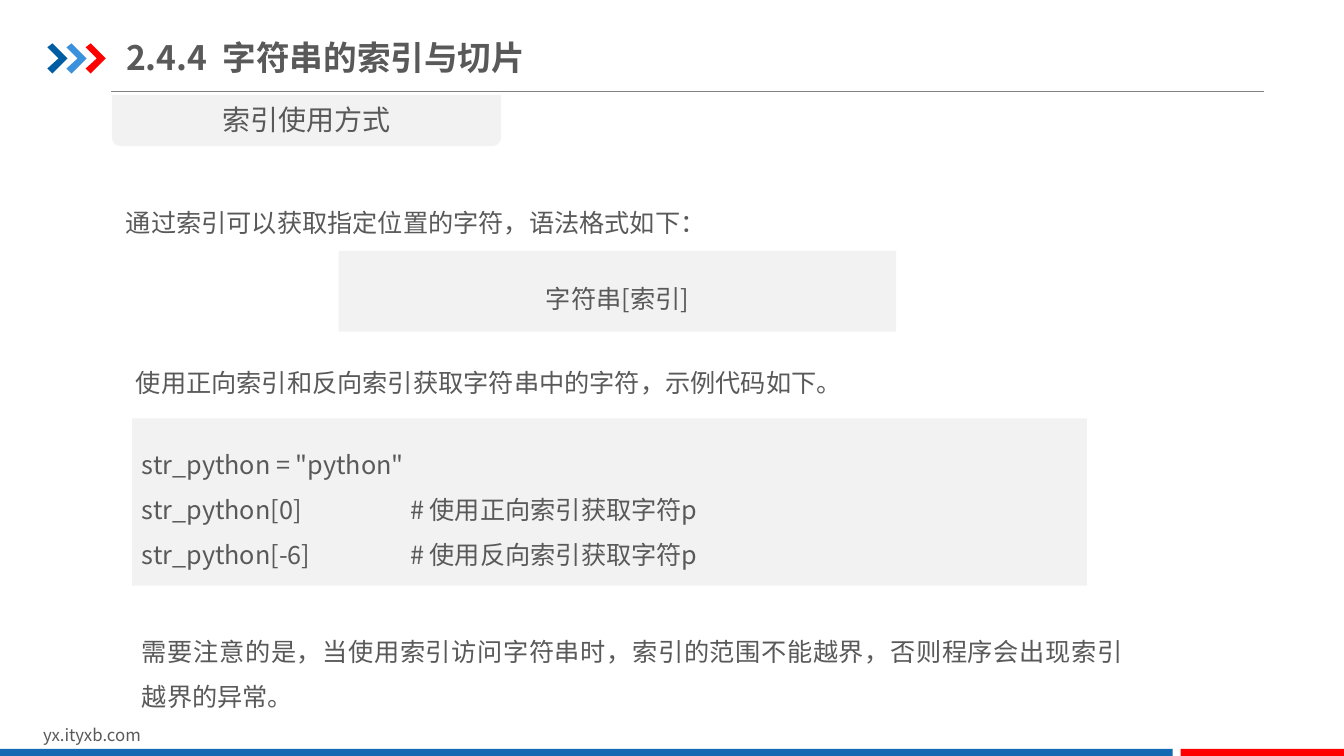
"""Build the slide on string indexing in Python."""
from dataclasses import dataclass

from lxml import etree
from pptx import Presentation
from pptx.dml.color import RGBColor
from pptx.enum.shapes import MSO_CONNECTOR, MSO_SHAPE
from pptx.enum.text import MSO_ANCHOR, MSO_AUTO_SIZE, PP_ALIGN
from pptx.oxml.ns import qn
from pptx.util import Emu, Pt

PX = 9144
FONT = "Noto Sans CJK SC"
GRAY, PANEL, BLUE, RED = "595959", "F2F2F2", "1369B2", "FF0000"
RECT, TAB_SHAPE = MSO_SHAPE.RECTANGLE, MSO_SHAPE.ROUND_2_SAME_RECTANGLE
LEFT, CENTER, JUSTIFY = PP_ALIGN.LEFT, PP_ALIGN.CENTER, PP_ALIGN.JUSTIFY
TOP, MIDDLE = MSO_ANCHOR.TOP, MSO_ANCHOR.MIDDLE
CHEVRON = [(0, 4), (5, 0), (20, 15), (5, 30), (0, 25), (11, 15)]
CHEVRON_COLORS = ["005DA2", "3992DB", RED]
CHEVRON_LEFT, CHEVRON_TOP, CHEVRON_STEP = 47, 43, 19
COMMENT_TAB = 266


@dataclass
class Box:
    """Place of an element, in px."""
    left: int
    top: int
    width: int
    height: int

    def emu(self) -> list[Emu]:
        return [px(v) for v in (self.left, self.top, self.width, self.height)]


@dataclass
class Panel:
    """Filled area, with the lines of text it holds."""
    box: Box
    fill: str
    lines: tuple[str, ...] = ()
    align: PP_ALIGN = LEFT
    kind: MSO_SHAPE = RECT
    rotation: int = 0


@dataclass
class Passage:
    """Free-standing text."""
    box: Box
    text: str
    size: int = 18
    align: PP_ALIGN = JUSTIFY
    spacing: float = 1.5


PANELS = [
    Panel(Box(0, 743, 1163, 9), BLUE),
    Panel(Box(1171, 743, 163, 9), RED),
    Panel(Box(111, 94, 386, 51), PANEL, kind=TAB_SHAPE, rotation=180),
    Panel(Box(336, 249, 553, 80), PANEL, ("字符串[索引]",), CENTER),
    Panel(Box(131, 415, 947, 166), PANEL, (
        'str_python = "python"',
        "str_python[0]\t# 使用正向索引获取字符p",
        "str_python[-6]\t# 使用反向索引获取字符p",
    )),
]
PASSAGES = [
    Passage(Box(33, 714, 318, 30), "yx.ityxb.com", 12, LEFT, 1.0),
    Passage(Box(111, 97, 386, 44), "索引使用方式", 20, CENTER, 1.0),
    Passage(Box(115, 186, 1116, 55), "通过索引可以获取指定位置的字符，语法格式如下："),
    Passage(Box(125, 344, 767, 55),
            "使用正向索引和反向索引获取字符串中的字符，示例代码如下。"),
    Passage(Box(131, 611, 993, 101),
            "需要注意的是，当使用索引访问字符串时，索引的范围不能越界，"
            "否则程序会出现索引越界的异常。"),
]


def px(value: int) -> Emu:
    return Emu(value * PX)


def color(value: str) -> RGBColor:
    return RGBColor.from_string(value)


def paint(shape, fill: str) -> None:
    shape.shadow.inherit = False
    shape.fill.solid()
    shape.fill.fore_color.rgb = color(fill)
    shape.line.fill.background()


def write(shape, *lines: str, size: int = 18, align: PP_ALIGN = LEFT,
          spacing: float = 1.5, bold: bool = False,
          anchor: MSO_ANCHOR = TOP) -> None:
    frame = shape.text_frame
    frame.word_wrap = True
    frame.auto_size = MSO_AUTO_SIZE.NONE
    frame.vertical_anchor = anchor
    for index, line in enumerate(lines):
        paragraph = frame.add_paragraph() if index else frame.paragraphs[0]
        paragraph.alignment = align
        paragraph.line_spacing = spacing
        if "\t" in line:
            stops = etree.SubElement(paragraph._p.get_or_add_pPr(), qn("a:tabLst"))
            etree.SubElement(stops, qn("a:tab"), pos=str(px(COMMENT_TAB)), algn="l")
        run = paragraph.add_run()
        run.text = line
        run.font.size = Pt(size)
        run.font.bold = bold
        run.font.name = FONT
        run.font.color.rgb = color(GRAY)
        etree.SubElement(run._r.get_or_add_rPr(), qn("a:ea"), typeface=FONT)


def draw_panel(slide, panel: Panel) -> None:
    shape = slide.shapes.add_shape(panel.kind, *panel.box.emu())
    shape.rotation = panel.rotation
    paint(shape, panel.fill)
    if panel.lines:
        write(shape, *panel.lines, align=panel.align, anchor=MIDDLE)


def draw_passage(slide, passage: Passage) -> None:
    write(slide.shapes.add_textbox(*passage.box.emu()), passage.text,
          size=passage.size, align=passage.align, spacing=passage.spacing)


def draw_chevron(slide, left: int, fill: str) -> None:
    points = [(left + x, CHEVRON_TOP + y) for x, y in CHEVRON]
    outline = slide.shapes.build_freeform(*points[0], scale=PX)
    outline.add_line_segments(points[1:], close=True)
    paint(outline.convert_to_shape(), fill)


def draw_rule(slide) -> None:
    rule = slide.shapes.add_connector(
        MSO_CONNECTOR.STRAIGHT, px(110), px(91), px(1254), px(91))
    rule.line.color.rgb = color("808080")
    rule.line.width = Pt(0.75)
    etree.SubElement(rule._element.spPr, qn("a:effectLst"))


def draw_title(slide) -> None:
    title = slide.shapes.title
    title.left, title.top, title.width, title.height = Box(125, 29, 534, 55).emu()
    frame = title.text_frame
    frame.margin_left = frame.margin_right = 0
    frame.margin_top = frame.margin_bottom = px(7)
    write(title, "2.4.4  字符串的索引与切片", size=24, spacing=1.0,
          bold=True, anchor=MIDDLE)


def main() -> None:
    deck = Presentation()
    deck.slide_width, deck.slide_height = px(1333), px(750)
    slide = deck.slides.add_slide(deck.slide_layouts.get_by_name("Title Only"))
    draw_title(slide)
    draw_rule(slide)
    for index, fill in enumerate(CHEVRON_COLORS):
        draw_chevron(slide, CHEVRON_LEFT + index * CHEVRON_STEP, fill)
    for panel in PANELS:
        draw_panel(slide, panel)
    for passage in PASSAGES:
        draw_passage(slide, passage)
    deck.save("out.pptx")


if __name__ == "__main__":
    main()
